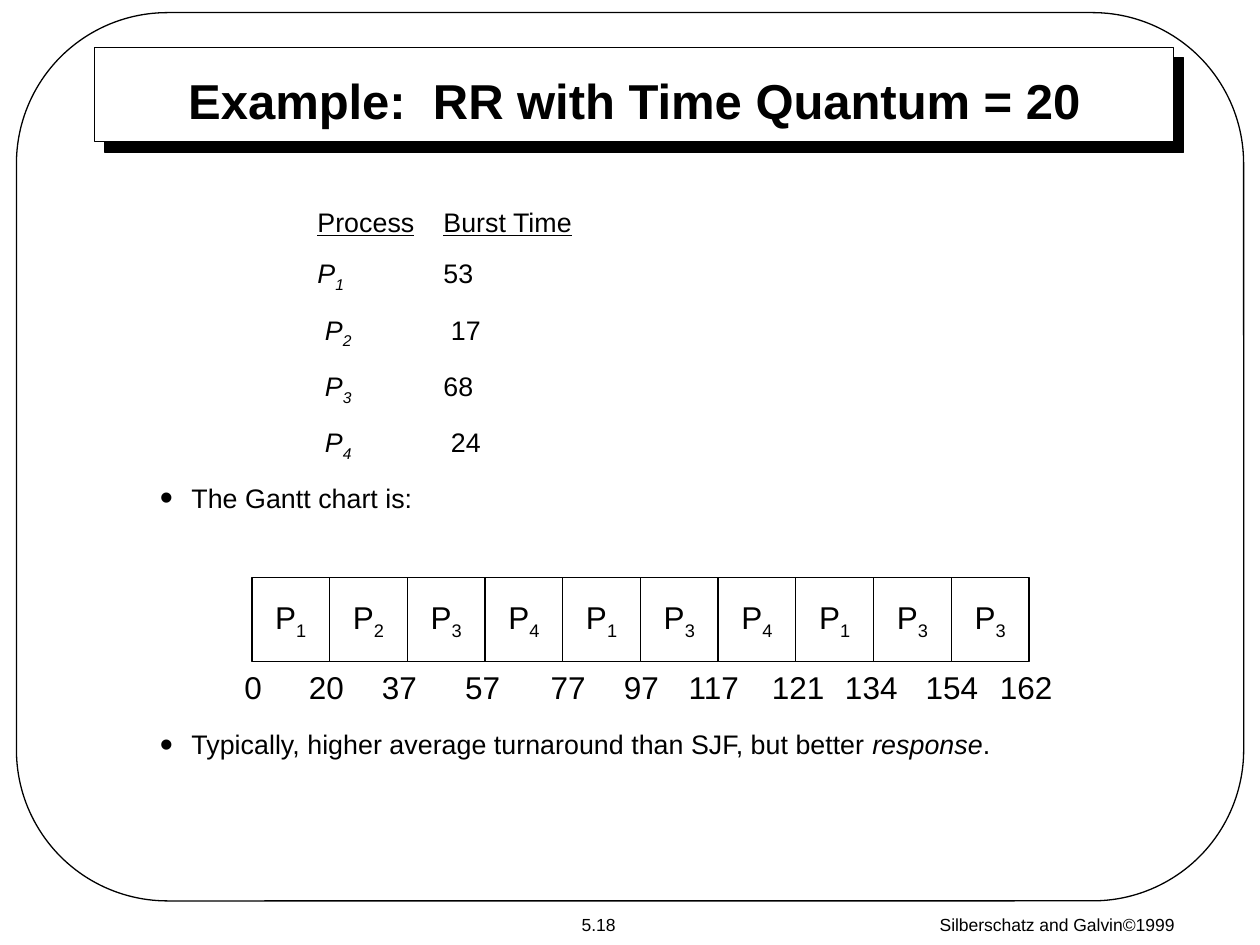
"""Build the round-robin scheduling slide with its burst times and Gantt chart."""
from lxml import etree
from pptx import Presentation
from pptx.dml.color import RGBColor
from pptx.enum.shapes import MSO_SHAPE as Preset
from pptx.enum.text import MSO_ANCHOR as Anchor, MSO_AUTO_SIZE as AutoSize, PP_ALIGN as Align
from pptx.oxml.ns import qn
from pptx.util import Pt

BLACK = RGBColor(0, 0, 0)
WHITE = RGBColor(255, 255, 255)
ITALIC = {"italic": True}
UNDERLINE = {"underline": True}
SUBSCRIPT = {"baseline": -25000}
BURST_TIMES = [("1", "53"), ("2", "17"), ("3", "68"), ("4", "24")]
GANTT_ORDER = "1234134133"
TICKS = {
    "0": 144.7, "20": 186.5, "37": 228.2, "57": 275.8, "77": 324.7, "97": 366.5,
    "117": 407.9, "121": 456.1, "134": 497.9, "154": 544, "162": 586.4,
}


def apply(target, values):
    for name, value in values.items():
        setattr(target, name, value)


def add_element(parent, tag, **attributes):
    return etree.SubElement(parent, qn(tag), {name: str(value) for name, value in attributes.items()})


class SlideBuilder:
    def __init__(self, slide):
        self.slide = slide
        self.font_name = "Arial"
        self.line_width = Pt(0.75)
        self.paragraph_gap = Pt(11.2)

    def place(self, shape, left, top, width, height):
        apply(shape, {"left": Pt(left), "top": Pt(top), "width": Pt(width), "height": Pt(height)})

    def frame(self, shape, anchor=Anchor.MIDDLE, wrap=True):
        apply(shape.text_frame, {
            "auto_size": AutoSize.NONE, "word_wrap": wrap, "vertical_anchor": anchor,
            "margin_left": Pt(7.2), "margin_right": Pt(7.2),
            "margin_top": Pt(3.6), "margin_bottom": Pt(3.6),
        })
        return shape.text_frame

    def add_runs(self, paragraph, runs, size, align=Align.CENTER, bold=False):
        paragraph.alignment = align
        for text, style in runs:
            run = paragraph.add_run()
            run.text = text
            run.font.color.rgb = BLACK
            style = {"name": self.font_name, "size": Pt(size), "bold": bold, **style}
            baseline = style.pop("baseline", None)
            apply(run.font, style)
            if baseline:
                run.font._element.set("baseline", str(baseline))

    def box(self, bounds, preset=Preset.RECTANGLE, fill=WHITE, runs=()):
        shape = self.slide.shapes.add_shape(preset, *map(Pt, bounds))
        shape.shadow.inherit = False
        if fill is None:
            shape.fill.background()
        else:
            shape.fill.solid()
            shape.fill.fore_color.rgb = fill
        shape.line.color.rgb = BLACK
        shape.line.width = self.line_width
        if runs:
            self.add_runs(self.frame(shape, wrap=False).paragraphs[0], runs, 18)
        return shape

    def drop_shadow(self, shape):
        effects = shape.element.spPr.find(qn("a:effectLst"))
        shadow = add_element(effects, "a:outerShdw", dist=Pt(8.5), dir=45 * 60000, algn="ctr", rotWithShape=0)
        add_element(shadow, "a:srgbClr", val=BLACK)

    def label(self, text, bounds, size):
        shape = self.slide.shapes.add_textbox(*map(Pt, bounds))
        self.add_runs(self.frame(shape, wrap=False).paragraphs[0], [(text, {})], size)

    def title(self, text, bounds):
        title = self.slide.shapes.title
        self.place(title, *bounds)
        self.add_runs(self.frame(title).paragraphs[0], [(text, {})], 28, bold=True)
        title.element.getparent().append(title.element)

    def body(self, bounds, paragraphs):
        body = self.slide.placeholders[1]
        self.place(body, *bounds)
        text_frame = self.frame(body, Anchor.TOP)
        for index, (runs, bulleted, gap) in enumerate(paragraphs):
            paragraph = text_frame.add_paragraph() if index else text_frame.paragraphs[0]
            self.indent(paragraph, bulleted)
            paragraph.space_before = (gap or self.paragraph_gap) if index else Pt(0)
            self.add_runs(paragraph, runs, 15.3, Align.LEFT)
        body.element.getparent().append(body.element)

    def indent(self, paragraph, bulleted):
        properties = paragraph._p.get_or_add_pPr()
        margin, hanging = (18, 18) if bulleted else (162, 72)
        properties.set("marL", str(Pt(margin)))
        properties.set("indent", str(-Pt(hanging)))
        if bulleted:
            add_element(add_element(properties, "a:buClr"), "a:srgbClr", val=BLACK)
            add_element(properties, "a:buSzPct", val=140000)
            add_element(properties, "a:buFont", typeface=self.font_name)
            add_element(properties, "a:buChar", char="•")
        else:
            add_element(properties, "a:buNone")


def burst_rows():
    yield [("Process", UNDERLINE), ("\t", {}), ("Burst Time", UNDERLINE)], False, None
    for process, burst in BURST_TIMES:
        lead = "" if process == "1" else " "
        value_lead = " " if process in "24" else ""
        yield [
            (lead + "P", ITALIC), (process, {**ITALIC, **SUBSCRIPT}),
            ("\t", {}), (value_lead + burst, {}),
        ], False, None


def main():
    presentation = Presentation()
    presentation.slide_width, presentation.slide_height = Pt(720), Pt(540)
    builder = SlideBuilder(presentation.slides.add_slide(presentation.slide_layouts[1]))

    builder.drop_shadow(builder.box((54, 27, 616.5, 54)))
    border = builder.box((9.4, 7.2, 701.3, 507.6), Preset.ROUNDED_RECTANGLE, None)
    border.adjustments[0] = 0.17
    builder.label("Silberschatz and Galvin©1999", (490, 518.5, 228, 20), 10)
    builder.label("5.18", (308, 518.5, 68, 20), 10)

    builder.title("Example:  RR with Time Quantum = 20", (91.4, 38.9, 542.2, 36))
    builder.body((84.2, 113.8, 553.7, 324), [
        *burst_rows(),
        ([("The Gantt chart is:", {})], True, None),
        ([
            ("Typically, higher average turnaround than SJF, but better ", {}),
            ("response", ITALIC), (".", {}),
        ], True, Pt(122.4)),
    ])

    cell_width = 44.4
    for index, process in enumerate(GANTT_ORDER):
        bounds = (144 + index * cell_width, 330, cell_width, 48)
        builder.box(bounds, runs=[("P", {}), (process, SUBSCRIPT)])
    for time, center in TICKS.items():
        builder.label(time, (center - 22, 378, 44, 28.8), 18)

    presentation.save("out.pptx")


if __name__ == "__main__":
    main()
